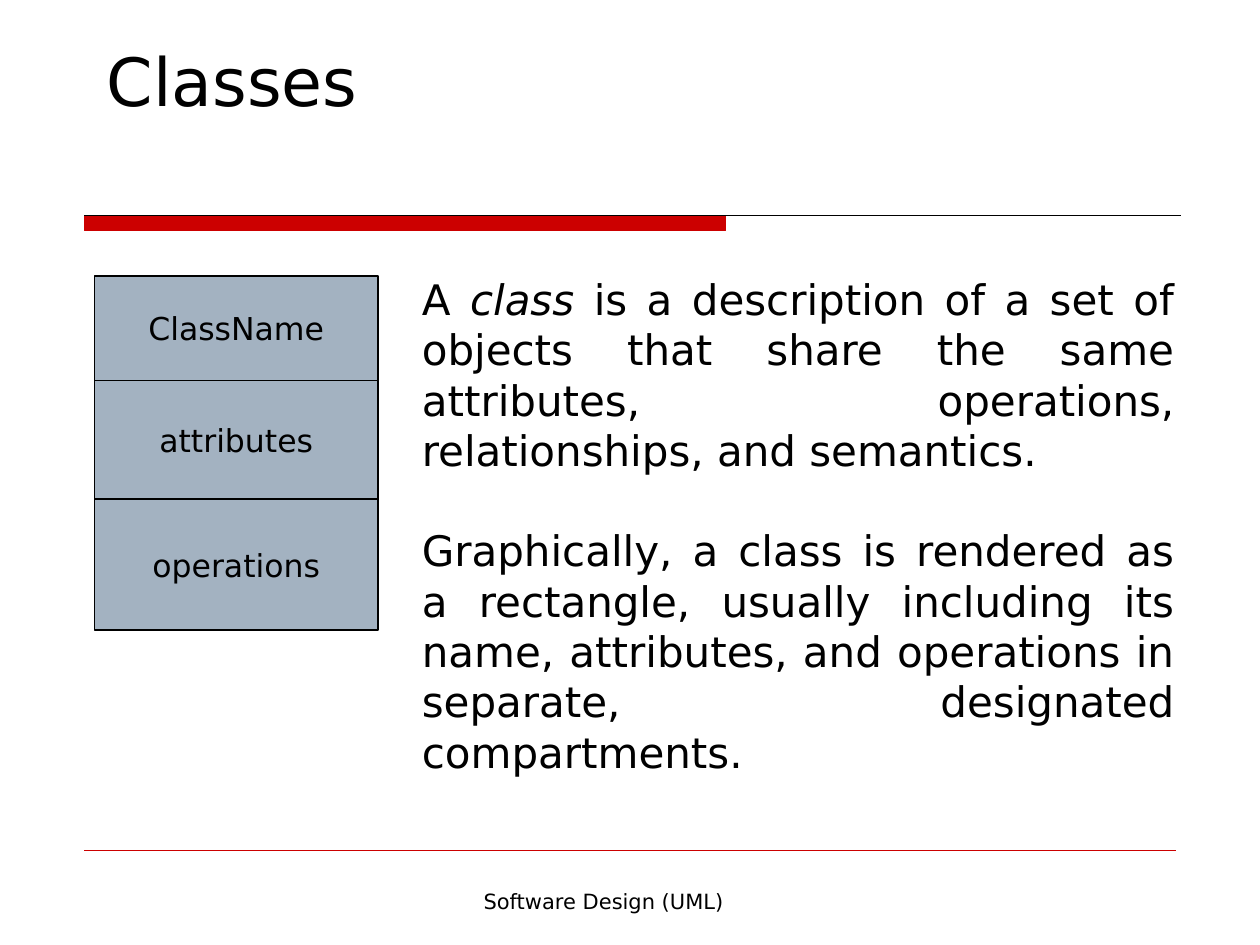
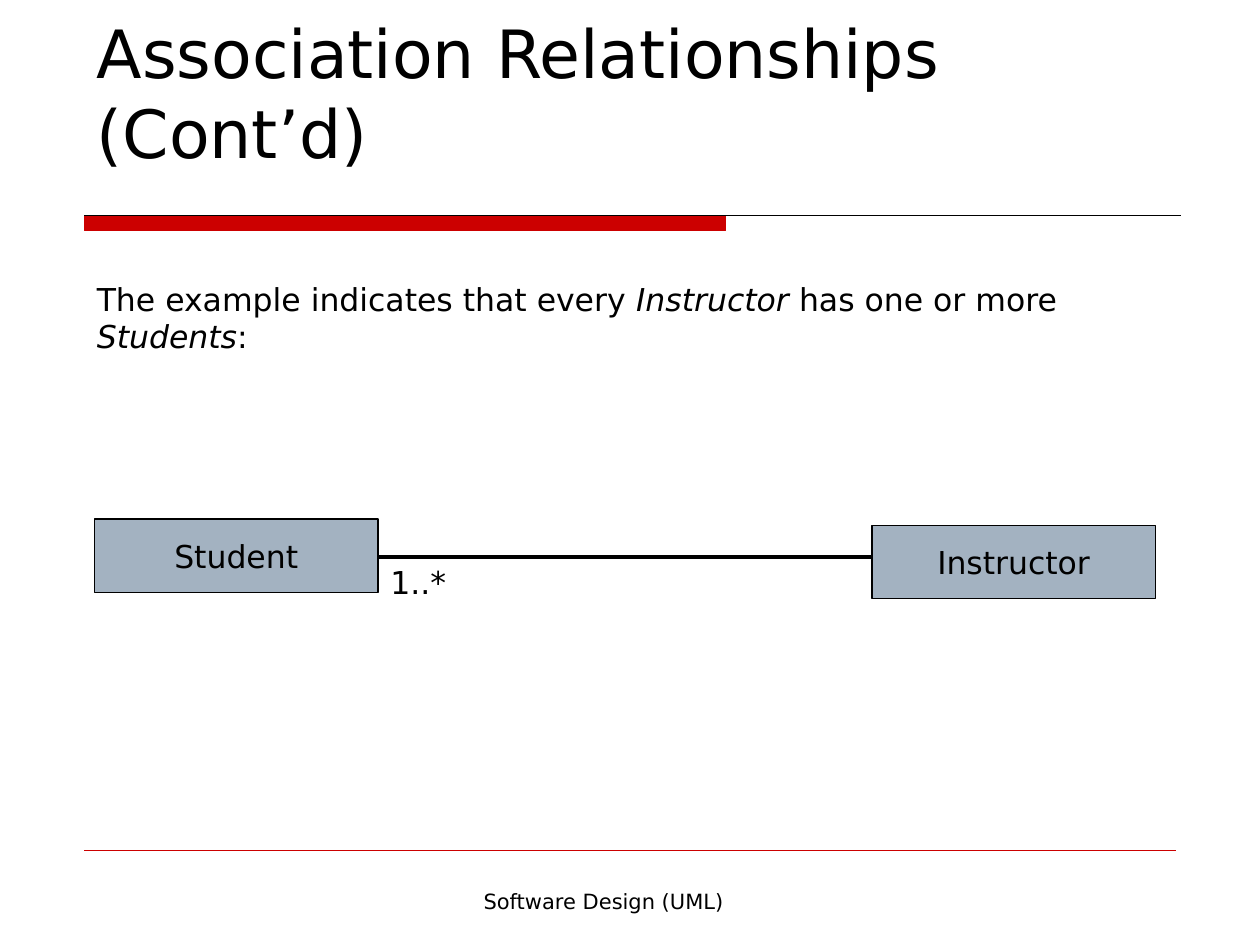
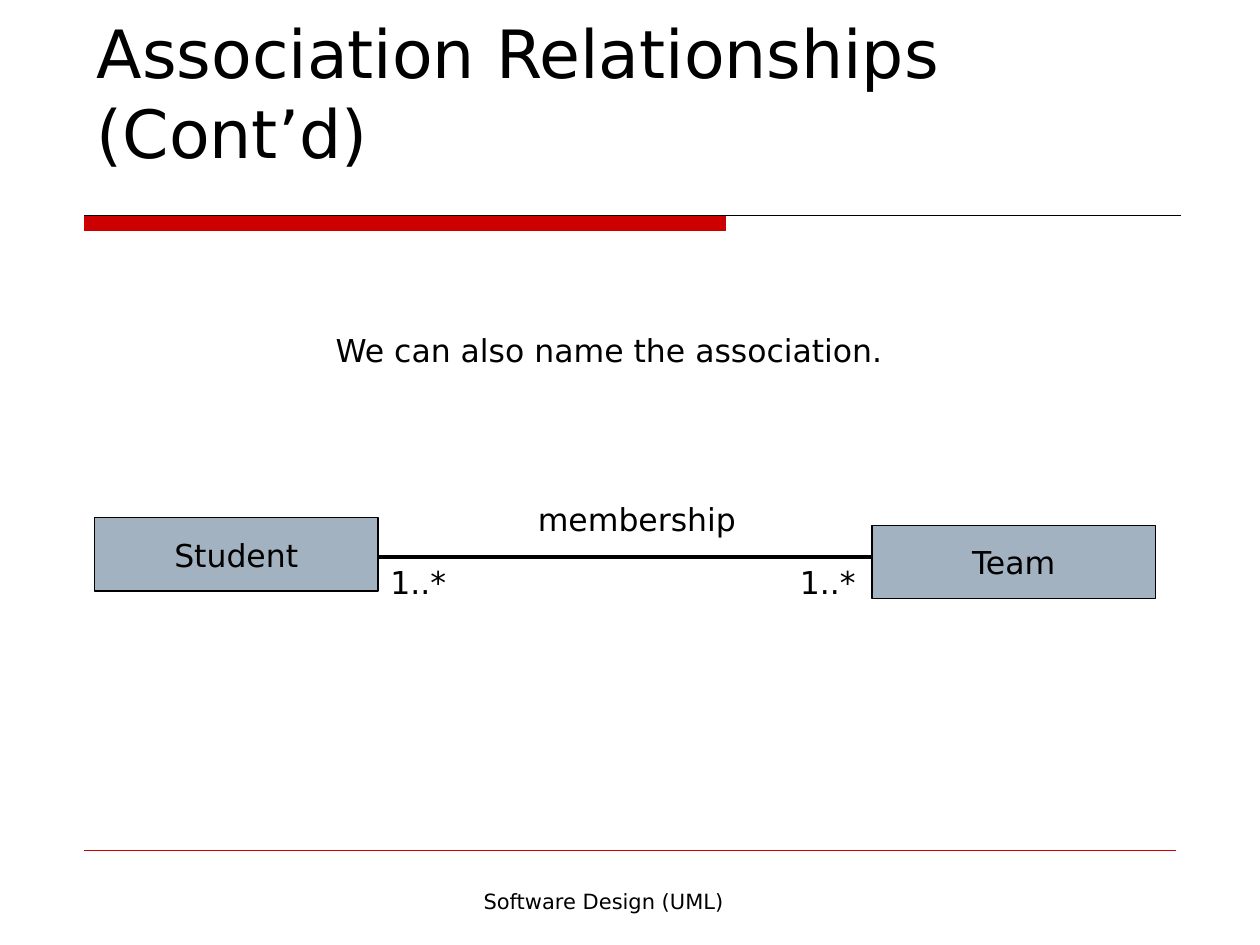
from pptx import Presentation
from pptx.dml.color import RGBColor
from pptx.enum.shapes import MSO_CONNECTOR, MSO_SHAPE
from pptx.enum.text import MSO_ANCHOR, PP_ALIGN
from pptx.oxml.ns import qn
from pptx.util import Inches, Pt

RED = RGBColor(0xCC, 0x00, 0x00)
BLACK = RGBColor(0x00, 0x00, 0x00)
STEEL = RGBColor(0xA3, 0xB2, 0xC1)
FONT = "DejaVu Sans"
FOOTER = "Software Design (UML)"
ASSOCIATION_TITLE = "Association Relationships (Cont’d)"
CLASS_W, CLASS_H = 2.25, 0.58


def set_text(tf, paragraphs, size, align=PP_ALIGN.LEFT, anchor=MSO_ANCHOR.TOP, gap=0):
    tf.word_wrap = True
    tf.vertical_anchor = anchor
    for i, runs in enumerate(paragraphs):
        p = tf.paragraphs[0] if i == 0 else tf.add_paragraph()
        p.alignment = align
        p.font.name = FONT
        p.font.size = Pt(size)
        p.font.color.rgb = BLACK
        if i:
            p.space_before = Pt(gap)
        for text, italic in runs:
            r = p.add_run()
            r.text = text
            if italic:
                r.font.italic = True


def plain(text):
    return [[(text, False)]]


def add_text(s, box, paragraphs, size=18, **style):
    sp = s.shapes.add_textbox(*map(Inches, box))
    set_text(sp.text_frame, paragraphs, size, **style)


def add_rect(s, box, fill, line):
    sp = s.shapes.add_shape(MSO_SHAPE.RECTANGLE, *map(Inches, box))
    sp.shadow.inherit = False
    sp.fill.solid()
    sp.fill.fore_color.rgb = fill
    sp.line.color.rgb = line
    sp.line.width = Pt(0.75)
    return sp


def add_line(s, left, right, y, color, width=0.75):
    line = s.shapes.add_connector(
        MSO_CONNECTOR.STRAIGHT, Inches(left), Inches(y), Inches(right), Inches(y))
    line.line.color.rgb = color
    line.line.width = Pt(width)
    sp_pr = line._element.spPr
    sp_pr.append(sp_pr.makeelement(qn("a:effectLst"), {}))


def add_class_box(s, box, name):
    sp = add_rect(s, box, STEEL, BLACK)
    set_text(sp.text_frame, plain(name), 18, PP_ALIGN.CENTER, MSO_ANCHOR.MIDDLE)


def add_class_diagram(s, left, top, compartments):
    for name, height in compartments:
        add_class_box(s, (left, top, CLASS_W, height), name)
        top += height


def add_association(s, left, y, first, second, first_top, labels):
    add_line(s, left + CLASS_W, left + 6.25, y, BLACK, 2.25)
    add_class_box(s, (left + 6.17, y - 0.25, CLASS_W, CLASS_H), second)
    add_class_box(s, (left, y + first_top, CLASS_W, CLASS_H), first)
    for text, dx, dy, width in labels:
        add_text(s, (left + dx, y + dy, width, 0.5), plain(text))


def add_frame(prs, title, title_box):
    s = prs.slides.add_slide(prs.slide_layouts[6])
    add_rect(s, (0.67, 1.71, 5.09, 0.12), RED, RED)
    add_line(s, 0.67, 9.37, 1.71, BLACK)
    add_line(s, 0.67, 9.33, 6.75, RED)
    add_text(s, (2.58, 7, 4.42, 0.5), plain(FOOTER), 12, align=PP_ALIGN.CENTER)
    add_text(s, title_box, plain(title), 38, anchor=MSO_ANCHOR.BOTTOM)
    return s


def add_classes_slide(prs):
    s = add_frame(prs, "Classes", (0.75, 0.42, 8.58, 0.58))
    add_class_diagram(s, 0.75, 2.19, [
        ("ClassName", 0.83), ("attributes", 0.94), ("operations", 1.04)])
    add_text(s, (3.25, 2.12, 6.17, 4.14), [
        [("A ", False), ("class", True),
         (" is a description of a set of objects that share the same attributes, "
          "operations, relationships, and semantics.", False)],
        [("Graphically, a class is rendered as a rectangle, usually including its "
          "name, attributes, and operations in separate, designated compartments.",
          False)],
    ], 24, align=PP_ALIGN.JUSTIFY, gap=28.5)


def add_multiplicity_slide(prs):
    s = add_frame(prs, ASSOCIATION_TITLE, (0.67, 0.83, 9, 0.58))
    add_text(s, (0.67, 2.17, 8.87, 0.9), [[
        ("The example indicates that every ", False), ("Instructor", True),
        (" has one or more ", False), ("Students", True), (":", False)]])
    add_association(s, 0.75, 4.42, "Student", "Instructor", -0.3,
                    [("1..*", 2.25, 0, 0.75)])


def add_named_association_slide(prs):
    s = add_frame(prs, ASSOCIATION_TITLE, (0.67, 0.83, 8.83, 0.58))
    add_text(s, (1.67, 2.58, 6.33, 0.5), plain("We can also name the association."),
             align=PP_ALIGN.CENTER)
    add_association(s, 0.75, 4.42, "Student", "Team", -0.31, [
        ("membership", 3.42, -0.5, 1.92),
        ("1..*", 2.25, 0, 0.83),
        ("1..*", 5.5, 0, 0.75)])


def main():
    prs = Presentation()
    prs.slide_width, prs.slide_height = Inches(10), Inches(7.5)
    add_classes_slide(prs)
    add_multiplicity_slide(prs)
    add_named_association_slide(prs)
    prs.save("out.pptx")


if __name__ == "__main__":
    main()
